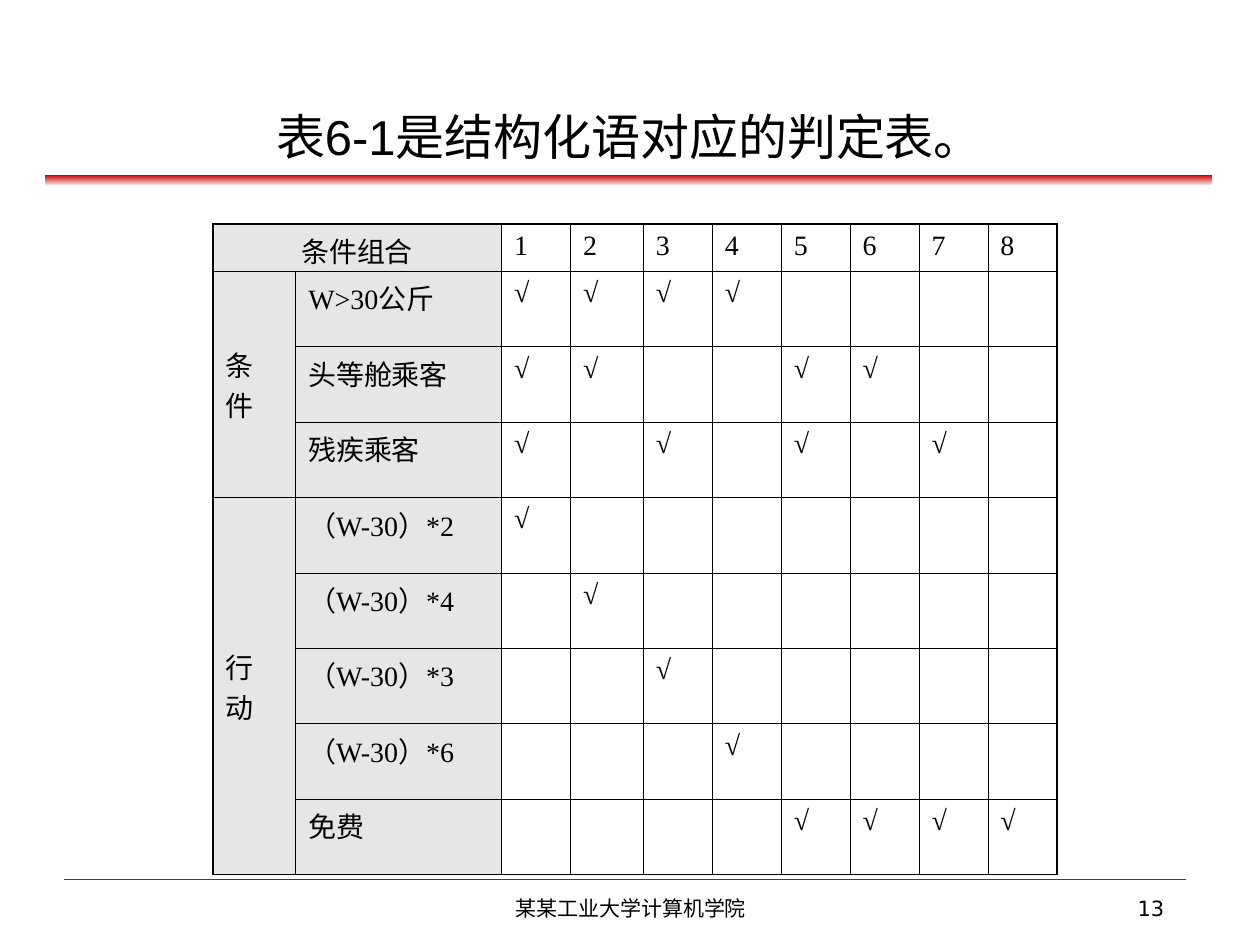
from pptx import Presentation, util as u
from pptx.dml.color import RGBColor
from pptx.enum import shapes, text
from pptx.oxml.ns import qn
from lxml import etree

TITLE = "表6-1是结构化语对应的判定表。"
HEAD = "条件组合"
RULES = 8
ROWS = [
    ("W>30公斤", (1, 2, 3, 4)),
    ("头等舱乘客", (1, 2, 5, 6)),
    ("残疾乘客", (1, 3, 5, 7)),
    ("（W-30）*2", (1,)),
    ("（W-30）*4", (2,)),
    ("（W-30）*3", (3,)),
    ("（W-30）*6", (4,)),
    ("免费", (5, 6, 7, 8)),
]
GROUPS = [("条件", 1, 3), ("行动", 4, 8)]
FOOT = [
    ("某某工业大学计算机学院", 8.69, 8.05, text.PP_ALIGN.CENTER),
    ("13", 18.21, 5.51, text.PP_ALIGN.RIGHT),
]
WIDTHS = [1.67, 4.15, 1.39, 1.47] + [1.39] * 6
HEIGHTS = [0.95] + [1.52] * len(ROWS)
BLACK, GREY, RED, PINK = "000000", "E6E6E6", "CC0000", "F7DFDF"
SERIF = "Times New Roman"


def rgb(code):
    return RGBColor.from_string(code)


def box(*dims):
    return [u.Cm(d) for d in dims]


def add_run(par, words, size, font, bold=False):
    run = par.add_run()
    run.text = words
    run.font.size = u.Pt(size)
    run.font.name = font
    run.font.bold = bold
    run.font.color.rgb = rgb(BLACK)


def write(cell, lines, align=text.PP_ALIGN.LEFT):
    frame = cell.text_frame
    for i, line in enumerate(lines):
        par = frame.add_paragraph() if i else frame.paragraphs[0]
        par.alignment = align
        props = par._p.get_or_add_pPr()
        props.set("marL", str(u.Cm(1.3)))
        props.set("indent", str(u.Cm(-1.3)))
        add_run(par, line, 16, SERIF)


def border(cell, sides):
    props = cell._tc.get_or_add_tcPr()
    for side, outer in sides:
        line = etree.SubElement(props, qn("a:ln" + side))
        line.set("w", str(u.Pt(0.96 if outer else 0.45)))
        fill = etree.SubElement(line, qn("a:solidFill"))
        etree.SubElement(fill, qn("a:srgbClr")).set("val", BLACK)


deck = Presentation()
deck.slide_width, deck.slide_height = box(25.4, 19.05)
slide = deck.slides.add_slide(deck.slide_layouts[5])

bar = slide.shapes.add_shape(
    shapes.MSO_SHAPE.RECTANGLE, *box(0.9, 3.53, 23.53, 0.2))
bar.shadow.inherit = False
bar.line.fill.background()
bar.fill.gradient()
bar.fill.gradient_angle = 90
for stop, code, place in zip(bar.fill.gradient_stops, (PINK, RED), (0, 1)):
    stop.color.rgb = rgb(code)
    stop.position = place

rule = slide.shapes.add_connector(
    shapes.MSO_CONNECTOR.STRAIGHT, *box(1.3, 17.73, 23.9, 17.73))
rule.line.color.rgb = rgb(RED)
rule.line.width = u.Pt(0.26)
etree.SubElement(rule._element.spPr, qn("a:effectLst"))

title = slide.shapes.title
title.left, title.top, title.width, title.height = box(5.31, 1.73, 15.52, 1.78)
frame = title.text_frame
frame.word_wrap = False
frame.auto_size = text.MSO_AUTO_SIZE.SHAPE_TO_FIT_TEXT
frame.vertical_anchor = text.MSO_ANCHOR.MIDDLE
par = frame.paragraphs[0]
par.alignment = text.PP_ALIGN.LEFT
add_run(par, TITLE, 28, "Arial")
add_run(par, " ", 36, "Arial", True)

table = slide.shapes.add_table(
    len(HEIGHTS), len(WIDTHS),
    *box(4.29, 4.52, sum(WIDTHS), sum(HEIGHTS))).table
table.first_row = table.horz_banding = False
for col, width in zip(table.columns, WIDTHS):
    col.width = u.Cm(width)
for row, height in zip(table.rows, HEIGHTS):
    row.height = u.Cm(height)

last, end = len(HEIGHTS) - 1, len(WIDTHS) - 1
for r in range(last + 1):
    for c in range(end + 1):
        cell = table.cell(r, c)
        border(cell, [("L", c == 0), ("R", c == end),
                      ("T", r == 0), ("B", r == last)])
        if c < 2:
            cell.fill.solid()
            cell.fill.fore_color.rgb = rgb(GREY)
        else:
            cell.fill.background()

table.cell(0, 0).merge(table.cell(0, 1))
write(table.cell(0, 0), [HEAD], text.PP_ALIGN.CENTER)
for n in range(1, RULES + 1):
    write(table.cell(0, n + 1), [str(n)])
for r, (label, ticks) in enumerate(ROWS, 1):
    write(table.cell(r, 1), [label])
    for n in ticks:
        write(table.cell(r, n + 1), ["√"])
for name, first, final in GROUPS:
    cell = table.cell(first, 0)
    cell.merge(table.cell(final, 0))
    cell.vertical_anchor = text.MSO_ANCHOR.MIDDLE
    write(cell, name)

for words, left, width, align in FOOT:
    frame = slide.shapes.add_textbox(*box(left, 17.93, width, 0.74)).text_frame
    frame.word_wrap = True
    par = frame.paragraphs[0]
    par.alignment = align
    add_run(par, words, 12, "DejaVu Sans")

deck.save("out.pptx")
